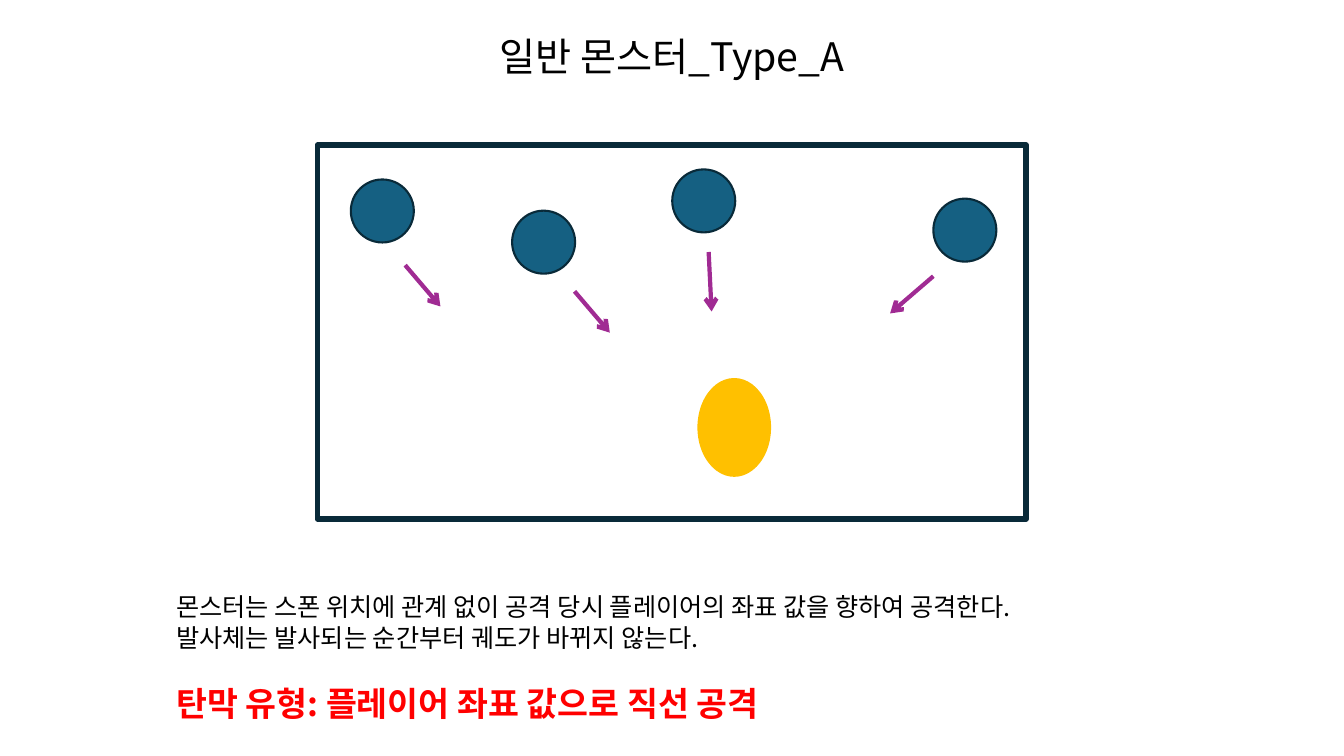
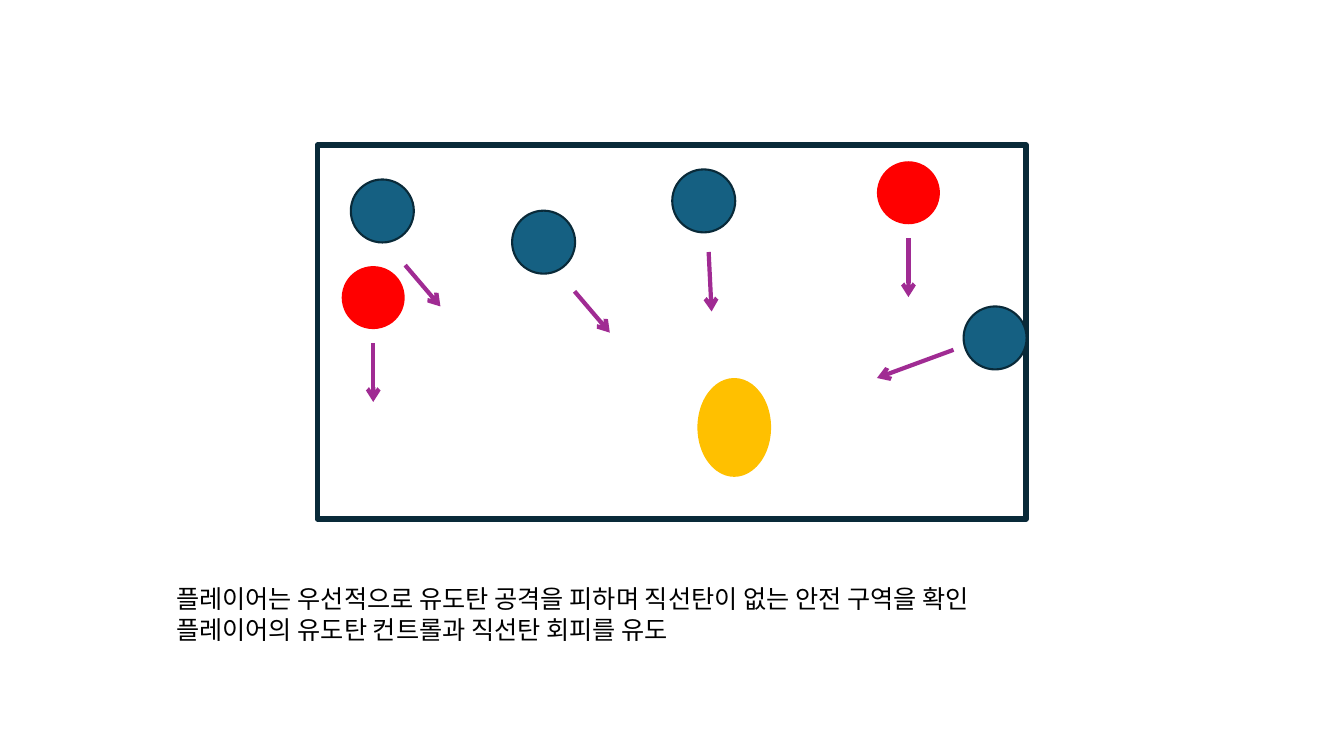
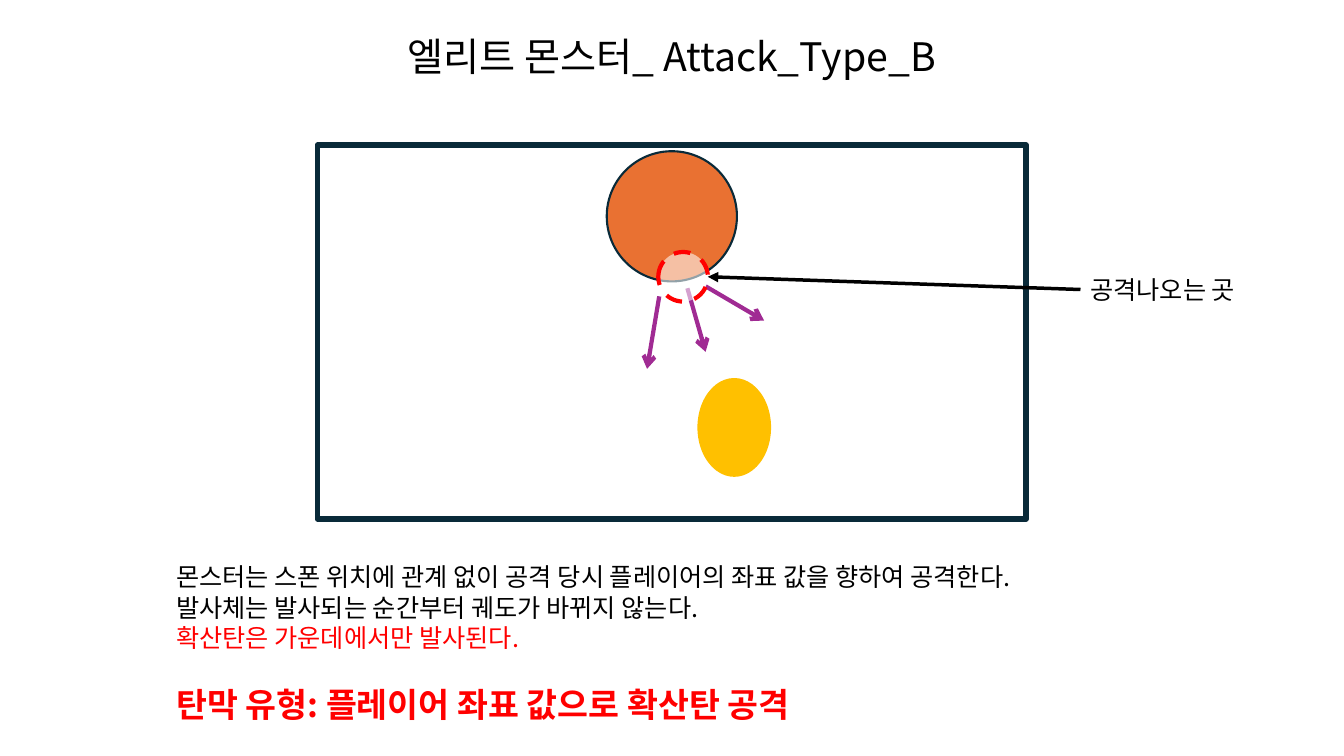
from pptx import Presentation
from pptx.dml.color import RGBColor
from pptx.enum.dml import MSO_LINE
from pptx.enum.shapes import MSO_CONNECTOR, MSO_SHAPE
from pptx.enum.text import PP_ALIGN
from pptx.oxml.ns import qn
from pptx.util import Pt
from lxml import etree

RECT, OVAL = MSO_SHAPE.RECTANGLE, MSO_SHAPE.OVAL
STRAIGHT = MSO_CONNECTOR.STRAIGHT
LEFT, CENTER = PP_ALIGN.LEFT, PP_ALIGN.CENTER
DASH = MSO_LINE.DASH

FONT = "Noto Sans CJK KR"
BLACK, WHITE, RED = "000000", "FFFFFF", "FF0000"
NAVY, TEAL, GOLD, ORANGE, PURPLE = "092A39", "156082", "FFC000", "E97132", "A02B93"

ARENA = (226.8, 103.7, 506.2, 267)
TITLE = (226.8, 19.5, 506.2, 41)
NOTE_LEFT, NOTE_WIDTH = 118.8, 723
MONSTER = 45
LINE_HEIGHT = {18: 22, 24: 29, 28: 34}

BODY = {"size": 18, "color": BLACK}
WARNING = {"size": 18, "color": RED}
HEADING = {"size": 28, "color": BLACK}
PATTERN = {"size": 24, "color": RED, "bold": True, "before": 22}

AIMED_NOTES = [
    ("몬스터는 스폰 위치에 관계 없이 공격 당시 플레이어의 좌표 값을 향하여 공격한다.", BODY),
    ("발사체는 발사되는 순간부터 궤도가 바뀌지 않는다.", BODY),
]
# Places and shots are measured from the arena's top left corner.
LEFT_MONSTERS = [(23.8, 24.5), (139, 46.8), (253.4, 17.3)]
LEFT_SHOTS = [
    (62.6, 85.7, 87.8, 115.2),
    (183.6, 104.4, 208.8, 133.9),
    (279.4, 76.3, 281.5, 118.8),
]


def rgb(value):
    return RGBColor.from_string(value)


def add_text(slide, box, lines, align=LEFT):
    """Place (text, format) pairs as paragraphs in one text box."""
    sp = slide.shapes.add_textbox(*map(Pt, box))
    tf = sp.text_frame
    tf.word_wrap = True
    for i, (text, style) in enumerate(lines):
        p = tf.add_paragraph() if i else tf.paragraphs[0]
        paragraph_format = {
            "alignment": align,
            "line_spacing": Pt(LINE_HEIGHT[style["size"]]),
            "space_before": Pt(style.get("before", 0)),
        }
        for name, value in paragraph_format.items():
            setattr(p, name, value)
        r = p.add_run()
        r.text = text
        font_format = {
            "name": FONT,
            "size": Pt(style["size"]),
            "bold": style.get("bold", False),
        }
        for name, value in font_format.items():
            setattr(r.font, name, value)
        r.font.color.rgb = rgb(style["color"])
        etree.SubElement(r.font._element, qn("a:ea"), typeface=FONT)
    return sp


def add_figure(slide, kind, box, fill=None, line=None, width=1.5):
    sp = slide.shapes.add_shape(kind, *map(Pt, box))
    sp.shadow.inherit = False
    if fill:
        sp.fill.solid()
        sp.fill.fore_color.rgb = rgb(fill)
    else:
        sp.fill.background()
    if line:
        sp.line.color.rgb = rgb(line)
        sp.line.width = Pt(width)
    else:
        sp.line.fill.background()
    return sp


def add_arrow(slide, ends, color=PURPLE, width=3, head="arrow"):
    sp = slide.shapes.add_connector(STRAIGHT, *map(Pt, ends))
    sp.line.color.rgb = rgb(color)
    sp.line.width = Pt(width)
    etree.SubElement(sp.line._get_or_add_ln(), qn("a:tailEnd"), type=head)
    etree.SubElement(sp._element.spPr, qn("a:effectLst"))
    return sp


def in_arena(x, y, w, h):
    return ARENA[0] + x, ARENA[1] + y, w, h


def add_arena(slide):
    """Draw the play field with the player in it."""
    add_figure(slide, RECT, ARENA, line=NAVY, width=4)
    add_figure(slide, OVAL, in_arena(271.4, 166.3, 52.6, 70.6), fill=GOLD)


def add_monsters(slide, places, fill=TEAL, line=NAVY):
    for x, y in places:
        add_figure(slide, OVAL, in_arena(x, y, MONSTER, MONSTER), fill, line)


def add_shots(slide, shots):
    left, top = ARENA[:2]
    for x1, y1, x2, y2 in shots:
        add_arrow(slide, (left + x1, top + y1, left + x2, top + y2))


def add_homing_monsters(slide, places):
    """Draw red monsters, each with a shot straight down from below it."""
    add_monsters(slide, places, RED, None)
    middle = MONSTER / 2
    add_shots(slide, [(x + middle, y + 55, x + middle, y + 97) for x, y in places])


def add_muzzle(slide, box):
    """Mark where the boss fires with a dashed, see-through circle."""
    sp = add_figure(slide, OVAL, box, WHITE, RED, 3)
    sp.line.dash_style = DASH
    color = sp._element.spPr.find(qn("a:solidFill")).find(qn("a:srgbClr"))
    etree.SubElement(color, qn("a:alpha"), val="56000")


def add_callout(slide, box, text, target):
    label = add_text(slide, box, [(text, BODY)])
    sp = add_arrow(slide, (*box[:2], *target), BLACK, 2.5, "triangle")
    sp.begin_connect(label, 1)


def add_title(slide, text):
    add_text(slide, TITLE, [(text, HEADING)], CENTER)


def add_notes(slide, top, height, lines):
    add_text(slide, (NOTE_LEFT, top, NOTE_WIDTH, height), lines)


def build_normal(slide):
    add_notes(slide, 418.3, 101.5, AIMED_NOTES + [
        ("탄막 유형: 플레이어 좌표 값으로 직선 공격", PATTERN)])
    add_arena(slide)
    add_monsters(slide, LEFT_MONSTERS + [(439.9, 38.2)])
    add_shots(slide, LEFT_SHOTS + [(439.9, 93.6, 409, 120.2)])
    add_title(slide, "일반 몬스터_Type_A")


def build_mixed(slide):
    add_arena(slide)
    add_homing_monsters(slide, [(17.3, 86.4), (399.6, 11.5)])
    add_monsters(slide, LEFT_MONSTERS + [(461.5, 115.2)])
    add_shots(slide, LEFT_SHOTS + [(454.3, 146.2, 399.6, 166.3)])
    add_notes(slide, 412.6, 51, [
        ("플레이어는 우선적으로 유도탄 공격을 피하며 직선탄이 없는 안전 구역을 확인", BODY),
        ("플레이어의 유도탄 컨트롤과 직선탄 회피를 유도", BODY)])


def build_elite(slide):
    add_notes(slide, 396.9, 124, AIMED_NOTES + [
        ("확산탄은 가운데에서만 발사된다.", WARNING),
        ("탄막 유형: 플레이어 좌표 값으로 확산탄 공격", PATTERN)])
    add_arena(slide)
    add_figure(slide, OVAL, in_arena(206.6, 4.3, 93, 93), ORANGE, NAVY)
    add_title(slide, "엘리트 몬스터_ Attack_Type_B")
    add_shots(slide, [
        (244.1, 108, 235.4, 159.8),
        (264.2, 102.2, 277.2, 147.6),
        (277.2, 100.8, 319, 125.3),
    ])
    muzzle = in_arena(243.4, 76.3, 35.4, 35.4)
    add_muzzle(slide, muzzle)
    x, y, w, h = muzzle
    add_callout(slide, in_arena(545, 88.6, 150, 29), "공격나오는 곳", (x + w, y + h / 2))


def main():
    prs = Presentation()
    prs.slide_width, prs.slide_height = Pt(960), Pt(540)
    blank = prs.slide_layouts[6]
    for build in (build_normal, build_mixed, build_elite):
        build(prs.slides.add_slide(blank))
    prs.save("out.pptx")


if __name__ == "__main__":
    main()
